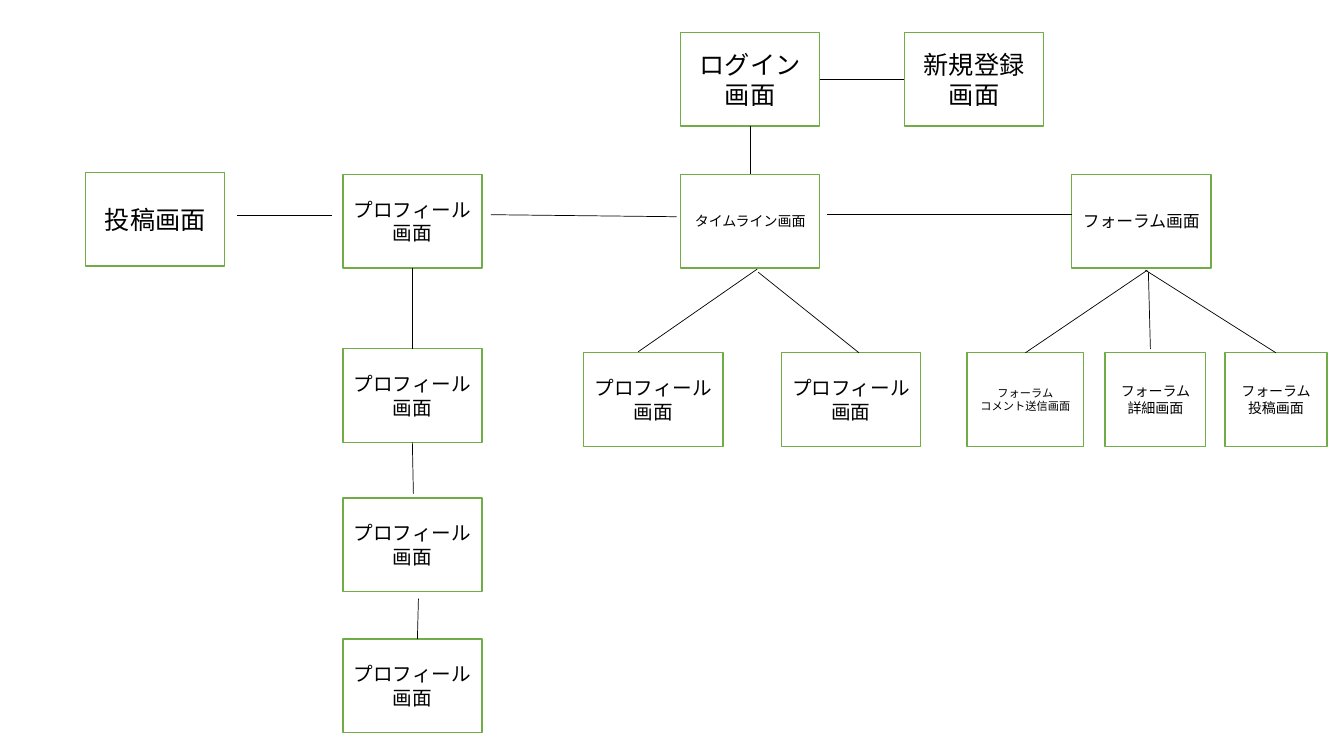
from lxml.etree import SubElement
from pptx import Presentation
from pptx.dml.color import RGBColor
from pptx.enum.shapes import MSO_CONNECTOR as CONNECTOR, MSO_SHAPE as SHAPE
from pptx.enum.text import MSO_ANCHOR as ANCHOR, PP_ALIGN as ALIGN
from pptx.oxml.ns import qn
from pptx.util import Pt

PX = 9144  # EMU per px, 100 px to the inch
FONT = "Noto Sans CJK JP"
BOX_WIDTH, BOX_HEIGHT = 138, 93
PROFILE = "プロフィール画面"
TOP, LEFT, BOTTOM, RIGHT = range(4)

# name: (text, left, top, width, font size)
SCREENS = {
    "login": ("ログイン画面", 675, 32, BOX_WIDTH, 18),
    "signup": ("新規登録画面", 897, 32, BOX_WIDTH, 18),
    "timeline": ("タイムライン画面", 675, 173, BOX_WIDTH, 10),
    "forum": ("フォーラム画面", 1063, 173, BOX_WIDTH, 12),
    "post": ("投稿画面", 85, 171, BOX_WIDTH, 18),
    "profile 1": (PROFILE, 340, 173, BOX_WIDTH, 14),
    "profile 2": (PROFILE, 340, 346, BOX_WIDTH, 14),
    "profile 3": (PROFILE, 340, 494, BOX_WIDTH, 14),
    "profile 4": (PROFILE, 340, 634, BOX_WIDTH, 14),
    "timeline left": (PROFILE, 579, 350, BOX_WIDTH, 14),
    "timeline right": (PROFILE, 775, 350, BOX_WIDTH, 14),
    "forum comment": ("フォーラム\nコメント送信画面", 959, 350, 116, 8),
    "forum detail": ("フォーラム詳細画面", 1096, 350, 100, 10),
    "forum post": ("フォーラム投稿画面", 1215, 350, 101, 10),
}

# Each end is a point (x, y) or a joined side (screen name, side)
LINKS = [
    (("login", RIGHT), ("signup", LEFT)),
    (("login", BOTTOM), ("timeline", TOP)),
    ((235, 214), (329, 214)),
    ((487, 213), (671, 215)),
    ((820, 213), (1063, 213)),
    ((751, 267), (633, 349)),
    ((752, 270), (852, 350)),
    ((1138, 268), ("forum comment", TOP)),
    ((1139, 270), (1141, 346)),
    ((1136, 268), ("forum post", TOP)),
    (("profile 1", BOTTOM), ("profile 2", TOP)),
    (("profile 2", BOTTOM), (410, 490)),
    ((415, 594), (414, 634)),
]


def color(hex_code):
    return RGBColor.from_string(hex_code)


def write_text(frame, text, size, hex_code="000000", align=ALIGN.CENTER):
    """Write one paragraph for each line of text."""
    frame.word_wrap = True
    frame.vertical_anchor = ANCHOR.MIDDLE
    for index, line in enumerate(text.split("\n")):
        para = frame.add_paragraph() if index else frame.paragraphs[0]
        para.alignment = align
        span = para.add_run()
        span.text = line
        span.font.size = Pt(size)
        span.font.color.rgb = color(hex_code)
        span.font.name = FONT
        SubElement(span.font._element, qn("a:ea"), typeface=FONT)


def add_screen(page, text, left, top, width, size):
    box = page.shapes.add_shape(
        SHAPE.RECTANGLE, left * PX, top * PX, width * PX, BOX_HEIGHT * PX)
    box.shadow.inherit = False
    box.fill.solid()
    box.fill.fore_color.rgb = color("FFFFFF")
    box.line.color.rgb = color("70AD47")
    box.line.width = Pt(1)
    write_text(box.text_frame, text, size=size)
    return box


def add_link(page, boxes, start, end):
    """Draw a line, joining each end that names a screen."""
    points = [(0, 0) if end_[0] in boxes else end_ for end_ in (start, end)]
    (x1, y1), (x2, y2) = points
    link = page.shapes.add_connector(
        CONNECTOR.STRAIGHT, x1 * PX, y1 * PX, x2 * PX, y2 * PX)
    if start[0] in boxes:
        link.begin_connect(boxes[start[0]], start[1])
    if end[0] in boxes:
        link.end_connect(boxes[end[0]], end[1])
    link.line.color.rgb = color("000000")
    link.line.width = Pt(0.5)
    SubElement(link._element.spPr, qn("a:effectLst"))


def main():
    deck = Presentation()
    deck.slide_width, deck.slide_height = 1333 * PX, 750 * PX
    page = deck.slides.add_slide(deck.slide_layouts[6])
    boxes = {name: add_screen(page, *screen) for name, screen in SCREENS.items()}
    for start, end in LINKS:
        add_link(page, boxes, start, end)
    deck.save("out.pptx")


if __name__ == "__main__":
    main()
